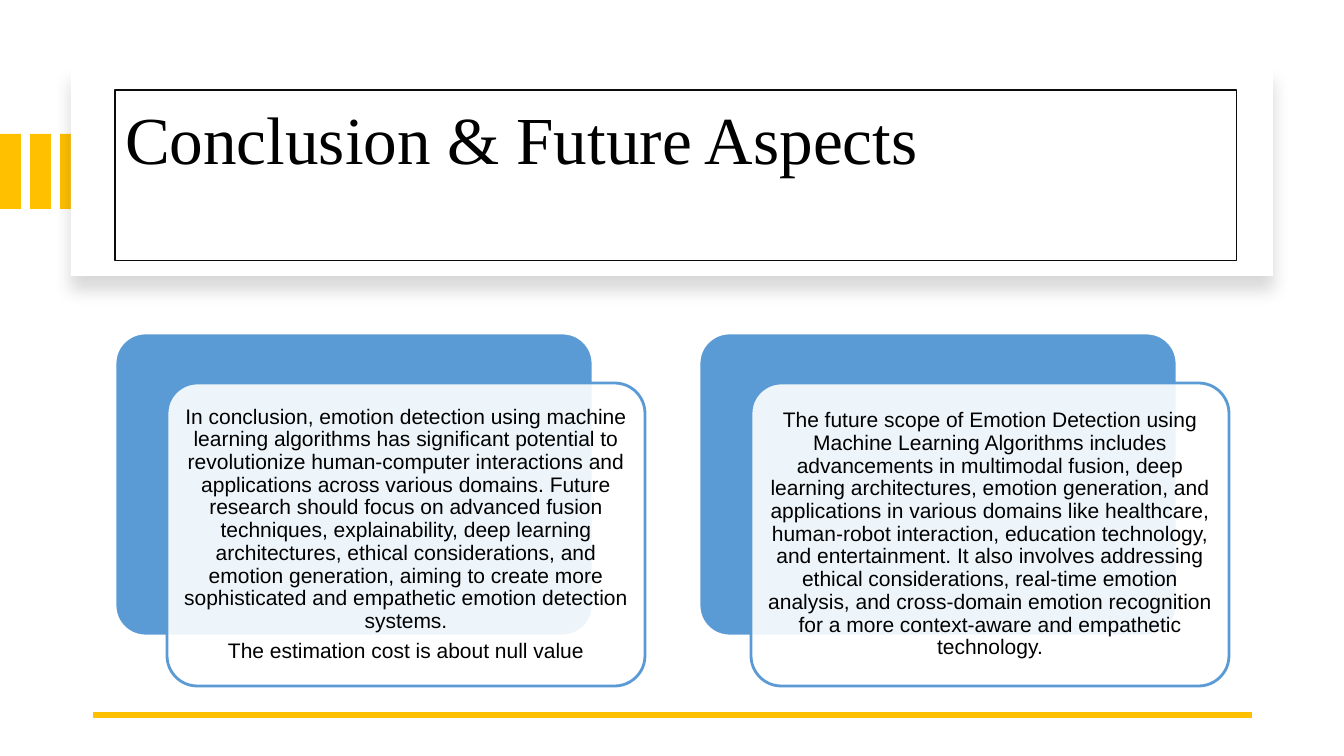
from dataclasses import dataclass
from typing import NamedTuple

from lxml.etree import SubElement
from pptx import Presentation
from pptx.dml.color import RGBColor
from pptx.enum.shapes import MSO_CONNECTOR as Connector, MSO_SHAPE as Preset
from pptx.enum.text import MSO_ANCHOR as Anchor, PP_ALIGN as Align
from pptx.oxml.ns import qn
from pptx.util import Emu, Pt

SCALE = 914400 / 100.8


def px(length: float) -> Emu:
    return Emu(round(length * SCALE))


@dataclass(frozen=True)
class Theme:
    accent: str = "FFC000"
    card: str = "5B9BD5"
    paper: str = "FFFFFF"
    ink: str = "000000"
    frame: str = "0C0C0C"
    title_font: str = "Times New Roman"
    body_font: str = "Arial"
    title_size: float = 48
    body_size: float = 15


class Area(NamedTuple):
    left: int
    top: int
    width: int
    height: int

    def shifted(self, right: int, down: int) -> "Area":
        return self._replace(left=self.left + right, top=self.top + down)


class Card(NamedTuple):
    left: int
    paragraphs: tuple[str, ...]


THEME = Theme()
STRIPE = Area(0, 134, 21, 75)
STRIPE_PITCH = 30
PANEL = Area(71, 68, 1202, 208)
TITLE = Area(115, 90, 1122, 171)
CARD_TOP, CARD_WIDTH, CARD_HEIGHT = 333, 478, 303
OVERLAP_RIGHT, OVERLAP_DOWN = 52, 50

CARDS = [
    Card(115, (
        "In conclusion, emotion detection using machine learning algorithms has "
        "significant potential to revolutionize human-computer interactions and "
        "applications across various domains. Future research should focus on "
        "advanced fusion techniques, explainability, deep learning architectures, "
        "ethical considerations, and emotion generation, aiming to create more "
        "sophisticated and empathetic emotion detection systems.",
        "The estimation cost is about null value",
    )),
    Card(699, (
        "The future scope of Emotion Detection using Machine Learning Algorithms "
        "includes advancements in multimodal fusion, deep learning architectures, "
        "emotion generation, and applications in various domains like healthcare, "
        "human-robot interaction, education technology, and entertainment. It also "
        "involves addressing ethical considerations, real-time emotion analysis, "
        "and cross-domain emotion recognition for a more context-aware and "
        "empathetic technology.",
    )),
]


def add_box(page, area: Area, *, preset=Preset.RECTANGLE, fill: str | None = None,
            opacity: int = 100, line: str | None = None, weight: float = 0):
    box = page.shapes.add_shape(preset, *map(px, area))
    box.shadow.inherit = False
    if preset == Preset.ROUNDED_RECTANGLE:
        box.adjustments[0] = 0.1
    if fill:
        box.fill.solid()
        box.fill.fore_color.rgb = RGBColor.from_string(fill)
        if opacity < 100:
            color = box.fill._xPr.find(qn("a:solidFill"))[0]
            SubElement(color, qn("a:alpha"), val=str(opacity * 1000))
    else:
        box.fill.background()
    if line:
        box.line.color.rgb = RGBColor.from_string(line)
        box.line.width = Pt(weight)
    else:
        box.line.fill.background()
    return box


def write(box, paragraphs: tuple[str, ...], *, font: str, size: float,
          align=Align.LEFT, anchor=Anchor.MIDDLE, side: int = 6,
          top: int = 6, bottom: int = 6, after: float = 0) -> None:
    frame = box.text_frame
    frame.word_wrap = True
    frame.vertical_anchor = anchor
    frame.margin_left = frame.margin_right = px(side)
    frame.margin_top, frame.margin_bottom = px(top), px(bottom)
    for index, text in enumerate(paragraphs):
        para = frame.add_paragraph() if index else frame.paragraphs[0]
        para.alignment = align
        para.line_spacing = 0.9
        para.space_after = Pt(after)
        span = para.add_run()
        span.text = text
        span.font.name = font
        span.font.size = Pt(size)
        span.font.color.rgb = RGBColor.from_string(THEME.ink)


def add_drop_shadow(box, *, blur: float, distance: float, opacity: int) -> None:
    effects = box._element.spPr.find(qn("a:effectLst"))
    shadow = SubElement(effects, qn("a:outerShdw"), blurRad=str(Pt(blur)),
                        dist=str(Pt(distance)), dir=str(90 * 60000),
                        algn="t", rotWithShape="0")
    color = SubElement(shadow, qn("a:srgbClr"), val=THEME.ink)
    SubElement(color, qn("a:alpha"), val=str(opacity * 1000))


def add_rule(page, left: int, right: int, height: int) -> None:
    rule = page.shapes.add_connector(
        Connector.STRAIGHT, px(right), px(height), px(left), px(height))
    rule.line.color.rgb = RGBColor.from_string(THEME.accent)
    rule.line.width = Pt(4.5)
    SubElement(rule._element.spPr, qn("a:effectLst"))


def add_card(page, card: Card) -> None:
    back = Area(card.left, CARD_TOP, CARD_WIDTH, CARD_HEIGHT)
    add_box(page, back, preset=Preset.ROUNDED_RECTANGLE,
            fill=THEME.card, line=THEME.paper, weight=2)
    front = add_box(page, back.shifted(OVERLAP_RIGHT, OVERLAP_DOWN),
                    preset=Preset.ROUNDED_RECTANGLE, fill=THEME.paper,
                    opacity=90, line=THEME.card, weight=2)
    write(front, card.paragraphs, font=THEME.body_font, size=THEME.body_size,
          align=Align.CENTER, after=5.25)


deck = Presentation()
deck.slide_width, deck.slide_height = px(1344), px(756)
page = deck.slides.add_slide(deck.slide_layouts[6])

for position in range(3):
    add_box(page, STRIPE.shifted(position * STRIPE_PITCH, 0), fill=THEME.accent)

panel = add_box(page, PANEL, fill=THEME.paper)
add_drop_shadow(panel, blur=11, distance=10, opacity=15)

title = add_box(page, TITLE, line=THEME.frame, weight=0.75)
write(title, ("Conclusion & Future Aspects",), font=THEME.title_font,
      size=THEME.title_size, anchor=Anchor.TOP, side=10, top=16)

add_rule(page, left=93, right=1252, height=715)

for card in CARDS:
    add_card(page, card)

deck.save("out.pptx")
